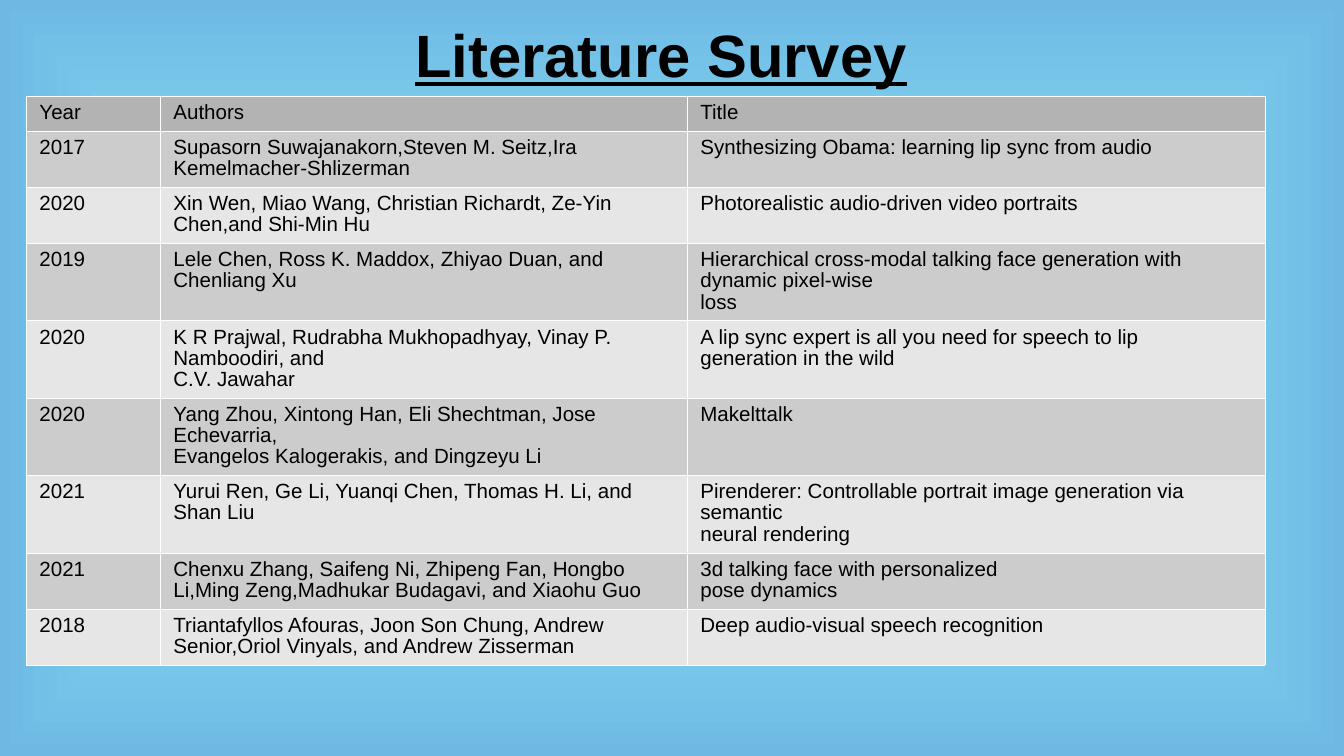
from lxml import etree
from pptx import Presentation
from pptx.dml.color import RGBColor
from pptx.enum.text import MSO_ANCHOR, MSO_AUTO_SIZE, PP_ALIGN
from pptx.oxml.ns import qn
from pptx.util import Pt

TOP = MSO_ANCHOR.TOP
NO_AUTOFIT = MSO_AUTO_SIZE.NONE
LEFT = PP_ALIGN.LEFT
TITLE_ONLY = 5
EMU_PER_PX = 914400 / 134.4
FONT = "Arial"
COLORS = {
    "center": "9FFAFF",
    "edge": "6DB9E4",
    "text": "000000",
    "border": "FFFFFF",
    "header": "B3B3B3",
    "odd": "CCCCCC",
    "even": "E6E6E6",
}
COLUMN_WIDTHS = [134, 527, 578]
ROW_HEIGHTS = [35, 56, 56, 77, 77, 77, 78, 56, 56]
SURVEY = [
    ("Year", "Authors", "Title"),
    ("2017", "Supasorn Suwajanakorn,Steven M. Seitz,Ira Kemelmacher-Shlizerman",
     "Synthesizing Obama: learning lip sync from audio"),
    ("2020", "Xin Wen, Miao Wang, Christian Richardt, Ze-Yin Chen,and Shi-Min Hu",
     "Photorealistic audio-driven video portraits"),
    ("2019", "Lele Chen, Ross K. Maddox, Zhiyao Duan, and Chenliang Xu",
     "Hierarchical cross-modal talking face generation with dynamic pixel-wise\nloss"),
    ("2020", "K R Prajwal, Rudrabha Mukhopadhyay, Vinay P. Namboodiri, and\nC.V. Jawahar",
     "A lip sync expert is all you need for speech to lip\ngeneration in the wild"),
    ("2020", "Yang Zhou, Xintong Han, Eli Shechtman, Jose Echevarria,\n"
     "Evangelos Kalogerakis, and Dingzeyu Li",
     "Makelttalk"),
    ("2021", "Yurui Ren, Ge Li, Yuanqi Chen, Thomas H. Li, and Shan Liu",
     "Pirenderer: Controllable portrait image generation via semantic\nneural rendering"),
    ("2021", "Chenxu Zhang, Saifeng Ni, Zhipeng Fan, Hongbo Li,Ming Zeng,"
     "Madhukar Budagavi, and Xiaohu Guo",
     "3d talking face with personalized\npose dynamics"),
    ("2018", "Triantafyllos Afouras, Joon Son Chung, Andrew Senior,"
     "Oriol Vinyals, and Andrew Zisserman",
     "Deep audio-visual speech recognition"),
]


def px(length):
    return round(length * EMU_PER_PX)


def color(name):
    return RGBColor.from_string(COLORS[name])


def add_run(paragraph, text, size, bold=False, underline=False):
    run = paragraph.add_run()
    run.text = text
    run.font.name = FONT
    run.font.size = Pt(size)
    run.font.bold = bold
    run.font.underline = underline
    run.font.color.rgb = color("text")


def set_background(slide):
    fill = slide.background.fill
    fill.gradient()
    for stop, name, position in zip(fill.gradient_stops, ("center", "edge"), (0, 1)):
        stop.color.rgb = color(name)
        stop.position = position
    gradient = slide.element.find(".//" + qn("a:gradFill"))
    gradient.remove(gradient.find(qn("a:lin")))
    shade = etree.SubElement(gradient, qn("a:path"))
    shade.set("path", "rect")
    center = etree.SubElement(shade, qn("a:fillToRect"))
    for side in "ltrb":
        center.set(side, "50000")


def set_title(slide, text):
    title = slide.shapes.title
    title.left, title.top, title.width, title.height = map(px, (402, 11, 571, 81))
    frame = title.text_frame
    frame.auto_size = NO_AUTOFIT
    frame.vertical_anchor = TOP
    paragraph = frame.paragraphs[0]
    paragraph.alignment = LEFT
    add_run(paragraph, text, 32, bold=True, underline=True)


def set_borders(cell):
    properties = cell._tc.get_or_add_tcPr()
    for side in "LRTB":
        line = etree.SubElement(properties, qn("a:ln" + side), w="720")
        fill = etree.SubElement(line, qn("a:solidFill"))
        etree.SubElement(fill, qn("a:srgbClr"), val=COLORS["border"])


def fill_cell(cell, text, fill_name):
    set_borders(cell)
    cell.fill.solid()
    cell.fill.fore_color.rgb = color(fill_name)
    frame = cell.text_frame
    for index, line in enumerate(text.split("\n")):
        paragraph = frame.add_paragraph() if index else frame.paragraphs[0]
        paragraph.line_spacing = 0.93
        add_run(paragraph, line, 11)


def add_survey_table(slide):
    table = slide.shapes.add_table(
        len(SURVEY), len(COLUMN_WIDTHS), px(26), px(96),
        px(sum(COLUMN_WIDTHS)), px(sum(ROW_HEIGHTS))).table
    for column, width in zip(table.columns, COLUMN_WIDTHS):
        column.width = px(width)
    for row_index, (row, height) in enumerate(zip(table.rows, ROW_HEIGHTS)):
        row.height = px(height)
        fill_name = ("even", "odd")[row_index % 2] if row_index else "header"
        for cell, text in zip(row.cells, SURVEY[row_index]):
            fill_cell(cell, text, fill_name)


def main():
    presentation = Presentation()
    presentation.slide_width, presentation.slide_height = px(1344), px(756)
    slide = presentation.slides.add_slide(presentation.slide_layouts[TITLE_ONLY])
    set_background(slide)
    set_title(slide, "Literature Survey")
    add_survey_table(slide)
    presentation.save("out.pptx")


if __name__ == "__main__":
    main()
